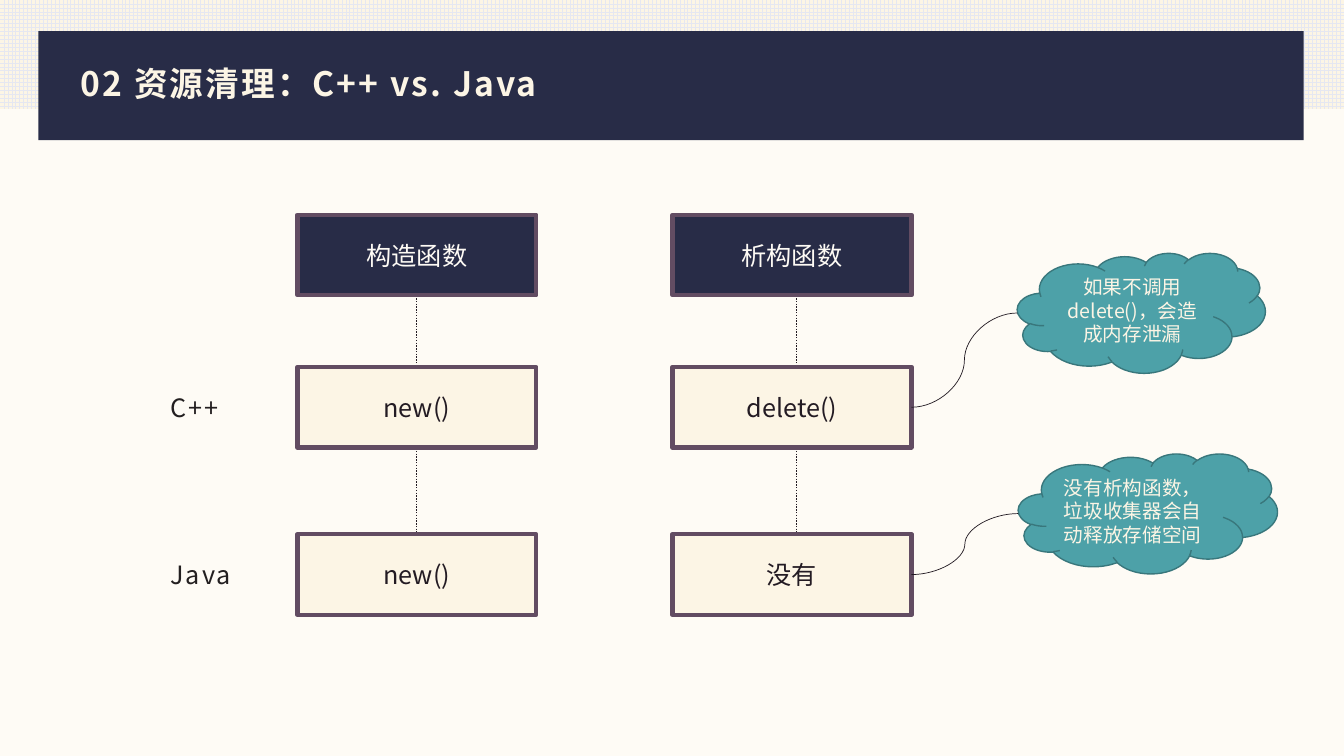
from lxml import etree
from pptx import Presentation
from pptx import util as u
from pptx.dml.color import RGBColor
from pptx.enum import dml, shapes, text
from pptx.oxml import ns

NAVY, CREAM, PAPER = "282C47", "FCF5E5", "FEFBF5"
INK, PLUM, TEAL = "231B23", "624C62", "4DA1A8"
SANS, KANJI = "Noto Sans CJK SC", "Noto Sans CJK JP"

# Grid in inches: two box columns, three box rows
WIDE, HIGH = 13.33, 7.5
COLS, ROWS = (2.95, 6.67), (2.13, 3.64, 5.3)
BOX_W, BOX_H = 2.37, 0.8
CELLS = (("构造函数", "析构函数"), ("new()", "delete()"), ("new()", "没有"))


def rgb(code):
    return RGBColor.from_string(code)


def inch(*sizes):
    return [u.Inches(size) for size in sizes]


def sub(parent, tag, **attrs):
    return etree.SubElement(parent, ns.qn(tag), **attrs)


def write(shape, words, size=18, font=SANS, color=CREAM, bold=False,
          align=None, anchor=text.MSO_ANCHOR.MIDDLE, line=None, before=0,
          track=None):
    frame = shape.text_frame
    frame.word_wrap = True
    frame.auto_size = text.MSO_AUTO_SIZE.NONE
    frame.vertical_anchor = anchor
    para = frame.paragraphs[0]
    para.alignment = align or text.PP_ALIGN.LEFT
    para.line_spacing = line
    para.space_before = u.Pt(before)
    # No bullet and no indent
    props = para._p.get_or_add_pPr()
    props.set("marL", "0")
    props.set("indent", "0")
    sub(props, "a:buNone")
    run = para.add_run()
    run.text = words
    run.font.size, run.font.bold, run.font.name = u.Pt(size), bold, font
    run.font.color.rgb = rgb(color)
    face = run._r.get_or_add_rPr()
    sub(face, "a:ea", typeface=font)
    if track:
        face.set("spc", str(int(track * 100)))


def block(slide, place, fill, edge=None, width=1, kind="RECTANGLE"):
    shape = slide.shapes.add_shape(shapes.MSO_SHAPE[kind], *inch(*place))
    shape.shadow.inherit = False
    shape.fill.solid()
    shape.fill.fore_color.rgb = rgb(fill)
    if edge:
        shape.line.color.rgb = rgb(edge)
        shape.line.width = u.Pt(width)
    else:
        shape.line.fill.background()
    return shape


def link(slide, start, end, width, kind="STRAIGHT", dash=None):
    wire = slide.shapes.add_connector(
        shapes.MSO_CONNECTOR[kind], *inch(*start, *end))
    wire.line.color.rgb = rgb(INK)
    wire.line.width = u.Pt(width)
    if dash:
        wire.line.dash_style = dash
    sub(wire._element.spPr, "a:effectLst")


def raise_to(slide, holder, place):
    """Move a placeholder to the front and set its place."""
    slide.shapes._spTree.append(holder._element)
    holder.left, holder.top, holder.width, holder.height = inch(*place)
    return holder


def banner(slide):
    grid = block(slide, (0, 0, WIDE, 1.08), CREAM)
    grid.fill.patterned()
    grid.fill.pattern = dml.MSO_PATTERN.LARGE_GRID
    grid.fill.fore_color.rgb = rgb("E5E7F1")
    grid.fill.back_color.rgb = rgb(CREAM)
    block(slide, (0.38, 0.31, 12.55, 1.08), NAVY)
    title = raise_to(slide, slide.shapes.title, (0.7, 0.53, 11.93, 0.64))
    write(title, "02 资源清理：C++ vs. Java", size=24, bold=True, line=0.9,
          track=1.5)


def table(slide):
    # Dotted lines run behind the boxes
    for x in (7.9, 4.13):
        link(slide, (x, ROWS[0] + BOX_H), (x, ROWS[2]), 1,
             dash=dml.MSO_LINE.ROUND_DOT)
    for row, (y, names) in enumerate(zip(ROWS, CELLS)):
        fill, color = (CREAM, INK) if row else (NAVY, PAPER)
        for x, name in zip(COLS, names):
            box = block(slide, (x, y, BOX_W, BOX_H), fill, PLUM, 3)
            write(box, name, font=KANJI, color=color,
                  align=text.PP_ALIGN.CENTER)


def labels(slide):
    spots = [(1.59, y + 0.05, 1.05, 0.52) for y in ROWS[1:]]
    first = raise_to(slide, slide.placeholders[1], spots[0])
    second = slide.shapes.add_textbox(*inch(*spots[1]))
    for label, name in ((first, "C++"), (second, "Java")):
        write(label, name, color="231F20", anchor=text.MSO_ANCHOR.TOP,
              line=1.5, before=15, track=1.5)


def cloud(slide, place, row, words, align):
    x, y, _, h = place
    shape = block(slide, place, TEAL, "39777C", 1, "CLOUD")
    write(shape, words, size=14, align=align)
    link(slide, (x, y + h / 2),
         (COLS[1] + BOX_W, ROWS[row] + BOX_H / 2), 0.5, "CURVE")


def main():
    deck = Presentation()
    deck.slide_width, deck.slide_height = inch(WIDE, HIGH)
    slide = deck.slides.add_slide(deck.slide_layouts[1])
    slide.background.fill.solid()
    slide.background.fill.fore_color.rgb = rgb(PAPER)
    banner(slide)
    table(slide)
    labels(slide)
    # Remarks on the right-hand column
    cloud(slide, (10.09, 2.51, 2.46, 1.19), 1,
          "如果不调用delete()，会造成内存泄漏", text.PP_ALIGN.CENTER)
    cloud(slide, (10.1, 4.5, 2.57, 1.19), 2,
          "没有析构函数，垃圾收集器会自动释放存储空间", text.PP_ALIGN.LEFT)
    deck.save("out.pptx")


if __name__ == "__main__":
    main()
